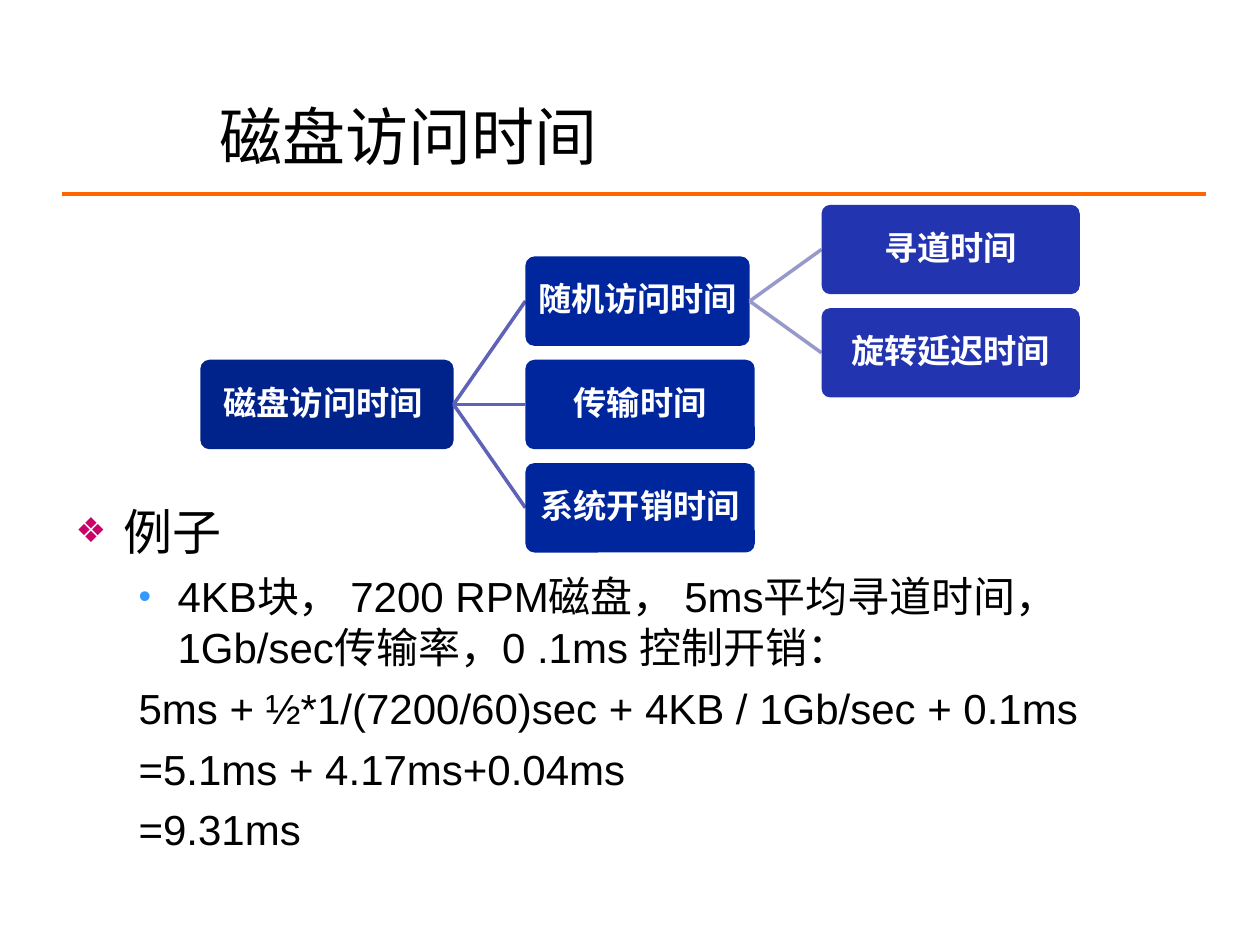
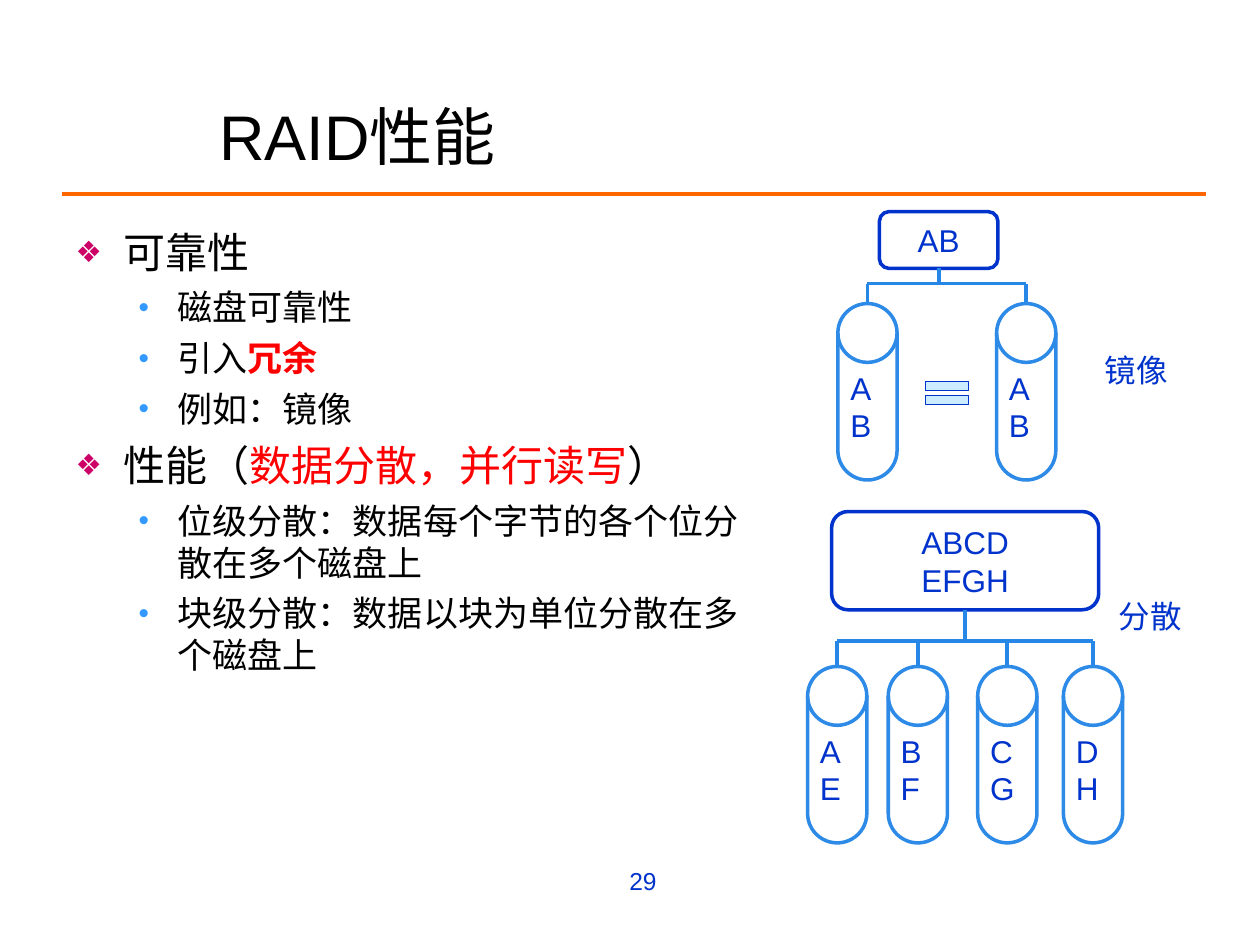
import lxml.etree
import pptx
import pptx.dml.color
import pptx.enum.shapes
import pptx.enum.text
import pptx.oxml.ns
import pptx.util

Inches = pptx.util.Inches
SHAPES = pptx.enum.shapes.MSO_SHAPE
ALIGN = pptx.enum.text.PP_ALIGN
ANCHOR = pptx.enum.text.MSO_ANCHOR

FONT = "Arial"
COLORS = {
    "black": "000000", "white": "FFFFFF", "red": "FF0000", "rule": "FF6600",
    "diamond": "CC0066", "dot": "3399FF", "blue": "0033CC",
    "disk": "2D8AE7", "wire": "2787E6", "equal": "CCECFF",
}
NODE_COLORS = ["00228B", "00269E", "2234AF"]
BRANCH_COLORS = ["5E63B8", "9799CB"]
BRANCH_GAP, ROW_PITCH, NODE_HEIGHT = 0.57, 0.82, 0.71
DISK_WIDTH, DISK_HEIGHT = 0.47, 1.4

# Paragraph styles: level, left margin, first-line indent, bullet, colour, size in percent
LIST_STYLES = {
    "topic": (0, 0.38, -0.38, "❖", "diamond", 70),
    "point": (1, 0.81, -0.31, "•", "dot", 85),
    "formula": (1, 0.5, 0, None, None, None),
}

ACCESS_TREE = ("磁盘访问时间 ", 2.01, [
    ("随机访问时间", 1.78, [("寻道时间", 2.05, []), ("旋转延迟时间", 2.05, [])]),
    ("传输时间", 1.82, []),
    ("系统开销时间", 1.82, []),
])
EXAMPLE = [
    ("topic", 28, [("例子", "black", False)]),
    ("point", 24, [("4KB块， 7200 RPM磁盘， 5ms平均寻道时间， "
                    "1Gb/sec传输率，0 .1ms 控制开销：", "black", False)]),
    ("formula", 24, [("5ms + ½*1/(7200/60)sec + 4KB / 1Gb/sec + 0.1ms", "black", False)]),
    ("formula", 24, [("=5.1ms + 4.17ms+0.04ms", "black", False)]),
    ("formula", 24, [("=9.31ms", "black", False)]),
]
RAID_POINTS = [
    ("topic", 24, [("可靠性", "black", False)]),
    ("point", 20, [("磁盘可靠性", "black", False)]),
    ("point", 20, [("引入", "black", False), ("冗余", "red", True)]),
    ("point", 20, [("例如：镜像", "black", False)]),
    ("topic", 24, [("性能（", "black", False), ("数据分散，并行读写", "red", False),
                   ("）", "black", False)]),
    ("point", 20, [("位级分散：数据每个字节的各个位分散在多个磁盘上", "black", False)]),
    ("point", 20, [("块级分散：数据以块为单位分散在多个磁盘上", "black", False)]),
]


def rgb(value):
    """Turn a colour name or hex string into a colour."""
    return pptx.dml.color.RGBColor.from_string(COLORS.get(value, value))


def place(shape, box):
    """Move a shape to a left, top, width, height box."""
    shape.left, shape.top, shape.width, shape.height = map(Inches, box)


def style_run(run, size, color, bold=False):
    """Format one run."""
    run.font.name = FONT
    run.font.size = pptx.util.Pt(size)
    run.font.bold = bold
    run.font.color.rgb = rgb(color)


def write(shape, text, size, color, align=ALIGN.LEFT, bold=False):
    """Fill a shape with evenly formatted text."""
    shape.text_frame.text = text
    shape.text_frame.word_wrap = True
    for paragraph in shape.text_frame.paragraphs:
        paragraph.alignment = align
        for run in paragraph.runs:
            style_run(run, size, color, bold)


def add_label(slide, box, text, size=18, align=ALIGN.LEFT):
    """Add a blue text box."""
    label = slide.shapes.add_textbox(*map(Inches, box))
    write(label, text, size, "blue", align)


def add_line(slide, start, end, color, width=2.25):
    """Add a straight line without a shadow."""
    line = slide.shapes.add_connector(
        pptx.enum.shapes.MSO_CONNECTOR.STRAIGHT, *map(Inches, start + end))
    line.line.color.rgb = rgb(color)
    line.line.width = pptx.util.Pt(width)
    lxml.etree.SubElement(line._element.spPr, pptx.oxml.ns.qn("a:effectLst"))


def add_block(slide, kind, box, fill, outline=None, width=2):
    """Add a flat filled shape, outlined if a colour is given."""
    block = slide.shapes.add_shape(kind, *map(Inches, box))
    block.shadow.inherit = False
    block.fill.solid()
    block.fill.fore_color.rgb = rgb(fill)
    if outline:
        block.line.color.rgb = rgb(outline)
        block.line.width = pptx.util.Pt(width)
    else:
        block.line.fill.background()
    block.text_frame.vertical_anchor = ANCHOR.MIDDLE
    return block


def set_bullet(paragraph, style):
    """Apply level, indents and bullet of a list style."""
    level, margin, indent, mark, color, percent = LIST_STYLES[style]
    paragraph.level = level
    properties = paragraph._p.get_or_add_pPr()
    properties.set("marL", str(Inches(margin)))
    properties.set("indent", str(Inches(indent)))

    def add(parent, tag, **attributes):
        return lxml.etree.SubElement(parent, pptx.oxml.ns.qn(tag), **attributes)

    if mark:
        add(add(properties, "a:buClr"), "a:srgbClr", val=COLORS[color])
        add(properties, "a:buSzPct", val=str(percent * 1000))
        add(properties, "a:buFont", typeface=FONT)
        add(properties, "a:buChar", char=mark)
    else:
        add(properties, "a:buNone")


def fill_list(body, box, items):
    """Place the body placeholder and write its list."""
    place(body, box)
    frame = body.text_frame
    frame.word_wrap = True
    frame.auto_size = pptx.enum.text.MSO_AUTO_SIZE.NONE
    frame.vertical_anchor = ANCHOR.TOP
    for index, (style, size, pieces) in enumerate(items):
        paragraph = frame.add_paragraph() if index else frame.paragraphs[0]
        set_bullet(paragraph, style)
        paragraph.space_before = pptx.util.Pt(round(0.24 * size) if index else 0)
        for text, color, bold in pieces:
            run = paragraph.add_run()
            run.text = text
            style_run(run, size, color, bold)


def add_content_slide(presentation, title, body_box, items):
    """Add a slide with the shared title, rule and list."""
    slide = presentation.slides.add_slide(presentation.slide_layouts[1])
    add_line(slide, (0.49, 1.54), (9.57, 1.54), "rule")
    heading = slide.shapes.title
    place(heading, (1.64, 0.75, 7.26, 0.64))
    write(heading, title, 36, "black")
    heading.text_frame.vertical_anchor = ANCHOR.MIDDLE
    heading.text_frame.auto_size = pptx.enum.text.MSO_AUTO_SIZE.NONE
    fill_list(slide.placeholders[1], body_box, items)
    return slide


def add_tree(slide, left, middle, node, depth=0):
    """Draw a node at its left middle point, then its branches."""
    text, width, children = node
    box = (left, middle - NODE_HEIGHT / 2, width, NODE_HEIGHT)
    block = add_block(slide, SHAPES.ROUNDED_RECTANGLE, box, NODE_COLORS[depth])
    block.adjustments[0] = 0.1
    write(block, text, 19, "white", ALIGN.CENTER, True)
    frame = block.text_frame
    frame.margin_left = frame.margin_right = Inches(0.01)
    frame.margin_top = frame.margin_bottom = Inches(0.01)
    frame.paragraphs[0].line_spacing = 0.9
    right = left + width
    for index, child in enumerate(children):
        child_middle = middle + (index - (len(children) - 1) / 2) * ROW_PITCH
        child_left = right + BRANCH_GAP
        add_line(slide, (right, middle), (child_left, child_middle), BRANCH_COLORS[depth], 2)
        add_tree(slide, child_left, child_middle, child, depth + 1)


def add_raid_array(slide, box, data, stem, drop, disks):
    """Draw a data box wired to disks given as offset from the box and text."""
    left, top, width, height = box
    source = add_block(slide, SHAPES.ROUNDED_RECTANGLE, box, "white", "blue")
    write(source, data, 18, "blue", ALIGN.CENTER)
    bus = top + height + stem
    center = left + width / 2
    add_line(slide, (center, top + height), (center, bus), "wire")
    disk_centers = [left + offset + DISK_WIDTH / 2 for offset, _ in disks]
    add_line(slide, (disk_centers[0], bus), (disk_centers[-1], bus), "wire")
    for disk_center, (offset, text) in zip(disk_centers, disks):
        add_line(slide, (disk_center, bus), (disk_center, bus + drop), "wire")
        disk_box = (left + offset, bus + drop, DISK_WIDTH, DISK_HEIGHT)
        disk = add_block(slide, SHAPES.FLOWCHART_MAGNETIC_DISK, disk_box, "white", "disk")
        write(disk, text, 18, "blue")


def build_access_time(presentation):
    """Build the disk access time slide."""
    slide = add_content_slide(presentation, "磁盘访问时间", (0.5, 3.93, 9, 2.77), EXAMPLE)
    add_tree(slide, 1.59, 3.21, ACCESS_TREE)


def build_raid(presentation):
    """Build the RAID performance slide."""
    slide = add_content_slide(presentation, "RAID性能", (0.5, 1.75, 5.58, 4.95), RAID_POINTS)
    add_raid_array(slide, (6.98, 1.68, 0.94, 0.45), "AB", 0.12, 0.16,
                   [(-0.33, "A\nB"), (0.93, "A\nB")])
    add_block(slide, SHAPES.MATH_EQUAL, (7.28, 2.96, 0.47, 0.32), "equal", "blue", 0.5)
    add_label(slide, (8.67, 2.74, 1.02, 0.4), "镜像")
    add_raid_array(slide, (6.6, 4.06, 2.12, 0.78), "ABCD\nEFGH", 0.25, 0.2,
                   [(-0.19, "A\nE"), (0.45, "B\nF"), (1.16, "C\nG"), (1.84, "D\nH")])
    add_label(slide, (8.78, 4.69, 0.87, 0.4), "分散")
    add_label(slide, (2.8, 6.82, 2.51, 0.52), "29", 14, ALIGN.RIGHT)


def main():
    """Build and save the presentation."""
    presentation = pptx.Presentation()
    presentation.slide_width, presentation.slide_height = Inches(10), Inches(7.5)
    build_access_time(presentation)
    build_raid(presentation)
    presentation.save("out.pptx")


if __name__ == "__main__":
    main()
